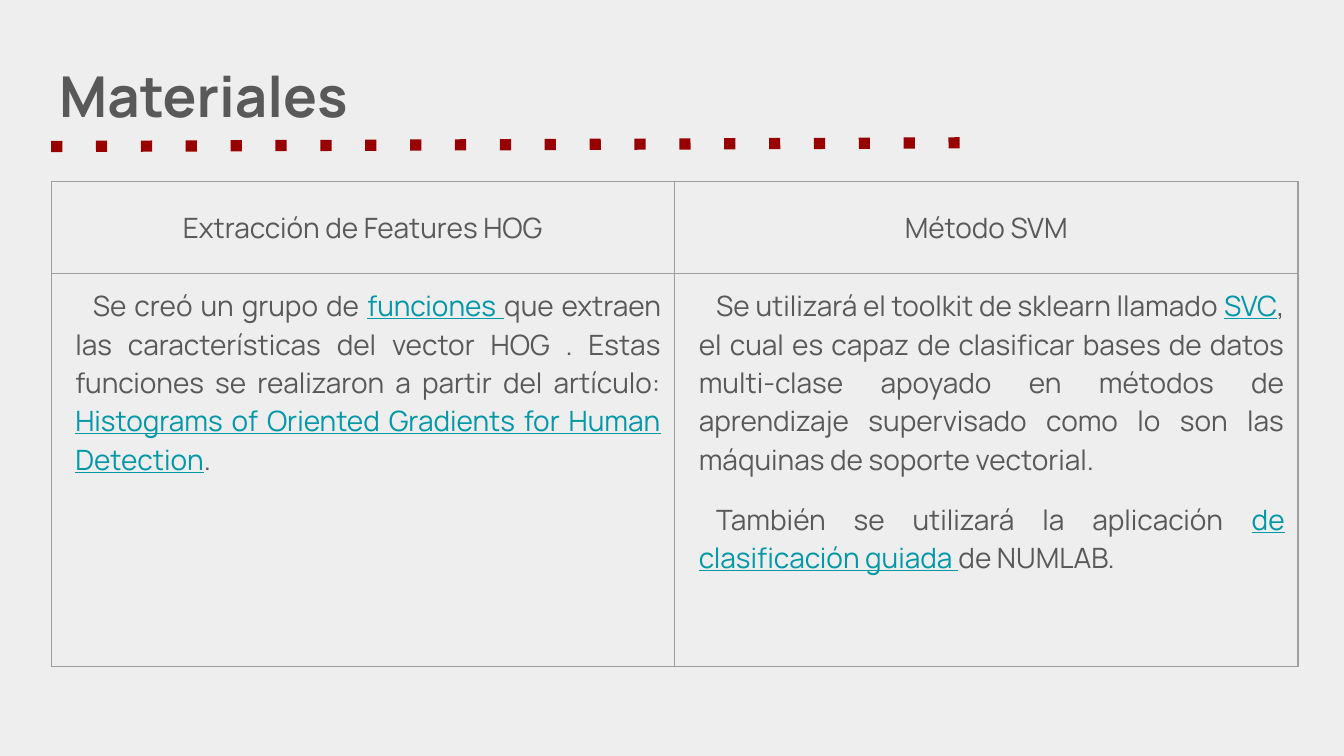
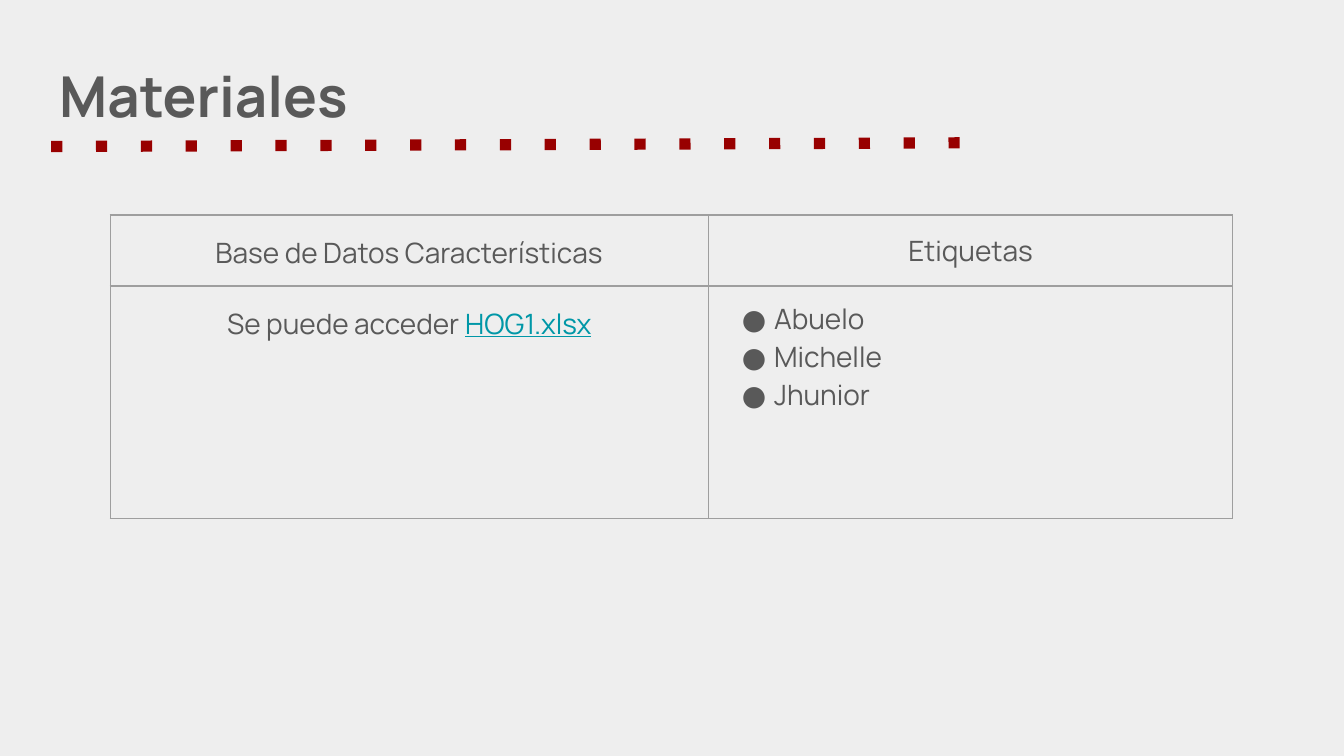
from lxml.etree import SubElement
from pptx import Presentation
from pptx.dml.color import RGBColor
from pptx.enum.shapes import MSO_CONNECTOR
from pptx.enum.text import MSO_ANCHOR, MSO_AUTO_SIZE, PP_ALIGN
from pptx.oxml.ns import qn
from pptx.util import Pt

HUES = {"back": "EEEEEE", "text": "595959", "link": "0097A7",
        "rule": "980000", "grid": "9E9E9E"}
FACE = "Manrope"
INSET = {"margin_left": Pt(7.2), "margin_right": Pt(7.2),
         "margin_top": Pt(7.2), "margin_bottom": Pt(7.2)}

# Paragraph formats
CENTER = {"alignment": PP_ALIGN.CENTER}
LOOSE = {**CENTER, "line_spacing": 1.15, "space_after": Pt(12)}
FULL = {"alignment": PP_ALIGN.JUSTIFY}
NEXT = {**FULL, "space_before": Pt(11.7)}
LIST = {"alignment": PP_ALIGN.LEFT}
INDENT = (5.76, 9.36)
HANG = (28, -17.3)


def hue(name):
    return RGBColor.from_string(HUES[name])


def style(item, form):
    for name, value in form.items():
        setattr(item, name, value)


def add_run(para, text, size, color="text", **form):
    run = para.add_run()
    run.text = text
    style(run.font, {"name": FACE, "size": Pt(size), **form})
    run.font.color.rgb = hue(color)


def add_bullet(props):
    tint = SubElement(props, qn("a:buClr"))
    SubElement(tint, qn("a:srgbClr"), val=HUES["text"])
    SubElement(props, qn("a:buFont"), typeface=FACE)
    SubElement(props, qn("a:buChar"), char="●")


def add_title(slide, text):
    title = slide.shapes.title
    style(title, {"left": Pt(24.5), "top": Pt(28.1),
                  "width": Pt(671), "height": Pt(45.4)})
    frame = title.text_frame
    style(frame, {**INSET, "word_wrap": True, "auto_size": MSO_AUTO_SIZE.NONE,
                  "vertical_anchor": MSO_ANCHOR.TOP})
    para = frame.paragraphs[0]
    style(para, {"alignment": PP_ALIGN.LEFT, "line_spacing": 0.95})
    add_run(para, text, 30.2, bold=True)


def add_rule(slide):
    rule = slide.shapes.add_connector(
        MSO_CONNECTOR.STRAIGHT, Pt(27.4), Pt(78.5), Pt(525), Pt(76.5))
    rule.line.width = Pt(6)
    rule.line.color.rgb = hue("rule")
    SubElement(rule.line._get_or_add_ln(), qn("a:prstDash"), val="dot")
    SubElement(rule._element.spPr, qn("a:effectLst"))


def add_grid(cell):
    props = cell._tc.get_or_add_tcPr()
    for side in ("lnL", "lnR", "lnT", "lnB"):
        line = SubElement(props, qn("a:" + side), w=str(Pt(0.75)))
        fill = SubElement(line, qn("a:solidFill"))
        SubElement(fill, qn("a:srgbClr"), val=HUES["grid"])
    cell.fill.background()


def fill_cell(cell, paras, anchor=MSO_ANCHOR.TOP):
    """Each paragraph is (format, indents or None, runs); linked text is in a tuple."""
    style(cell, {**INSET, "vertical_anchor": anchor})
    add_grid(cell)
    frame = cell.text_frame
    for num, (form, indent, runs) in enumerate(paras):
        para = frame.add_paragraph() if num else frame.paragraphs[0]
        style(para, form)
        if indent:
            props = para._p.get_or_add_pPr()
            props.set("marL", str(Pt(indent[0])))
            props.set("indent", str(Pt(indent[1])))
            if indent == HANG:
                add_bullet(props)
        for part in runs:
            if isinstance(part, tuple):
                add_run(para, part[0], 15, "link", underline=True)
            else:
                add_run(para, part, 15)


def add_table(slide, left, top, cols, rows, cells):
    table = slide.shapes.add_table(
        len(rows), len(cols), Pt(left), Pt(top), Pt(sum(cols)), Pt(sum(rows))).table
    style(table, {"first_row": False, "horz_banding": False})
    for col, width in zip(table.columns, cols):
        col.width = Pt(width)
    for row, height, line in zip(table.rows, rows, cells):
        row.height = Pt(height)
        for cell, args in zip(row.cells, line):
            fill_cell(cell, *args)


def add_slide(deck, title):
    slide = deck.slides.add_slide(deck.slide_layouts[5])
    add_title(slide, title)
    add_rule(slide)
    return slide


def head(text):
    return [(CENTER, None, [text])], MSO_ANCHOR.MIDDLE


def main():
    deck = Presentation()
    style(deck, {"slide_width": Pt(720), "slide_height": Pt(405)})
    back = deck.slide_master.background.fill
    back.solid()
    back.fore_color.rgb = hue("back")

    # Methods
    hog = [(FULL, INDENT, [
        "Se creó un grupo de ", ("funciones ",),
        "que extraen las características del vector HOG . "
        "Estas funciones se realizaron a partir del artículo: ",
        ("Histograms of Oriented Gradients for Human Detection",), "."])]
    svm = [
        (FULL, INDENT, [
            "Se utilizará el toolkit de sklearn llamado ", ("SVC",),
            ", el cual es capaz de clasificar bases de datos multi-clase "
            "apoyado en métodos de aprendizaje supervisado como lo son "
            "las máquinas de soporte vectorial."]),
        (NEXT, INDENT, [
            "También se utilizará la aplicación ",
            ("de clasificación guiada ",), "de NUMLAB."])]
    add_table(add_slide(deck, "Materiales"), 27.4, 97.2, (334, 334), (49.4, 210.4), [
        [head("Extracción de Features HOG"), head("Método SVM")],
        [(hog,), (svm,)]])

    # Data and labels
    names = [(LIST, HANG, [name]) for name in ("Abuelo", "Michelle", "Jhunior")]
    base = [(LOOSE, None, ["Base de Datos Características"])]
    file = [(LOOSE, None, ["Se puede acceder ", ("HOG1.xlsx",)])]
    add_table(add_slide(deck, "Materiales"), 59, 115.2, (320.5, 281), (31.7, 124.5), [
        [(base,), head("Etiquetas")],
        [(file,), (names,)]])

    deck.save("out.pptx")


if __name__ == "__main__":
    main()
